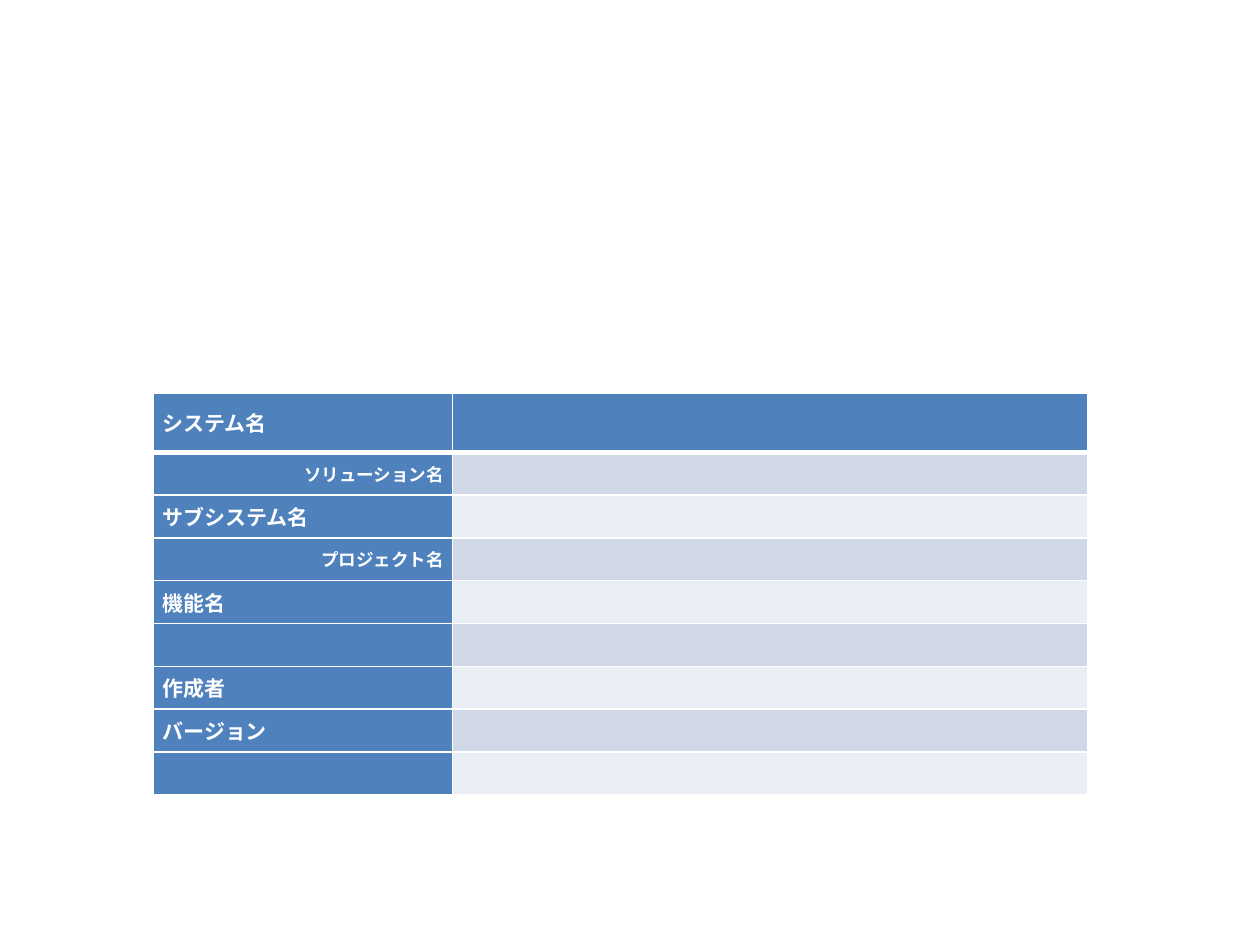
from dataclasses import dataclass

from lxml.etree import SubElement
from pptx import Presentation
from pptx.dml.color import RGBColor as RGB
from pptx.enum.text import MSO_ANCHOR as ANCHOR, PP_ALIGN as ALIGN
from pptx.oxml.ns import qn
from pptx.util import Inches, Pt


@dataclass(frozen=True)
class Theme:
    """Colours, font and type sizes of the slide."""
    label_fill: str = "4F81BD"
    bands: tuple = ("D0D8E8", "E9EDF4")
    white: str = "FFFFFF"
    font: str = "Calibri"
    main_size: int = 12
    sub_size: int = 10


class CoverSlide:
    """Holds the theme and the current slide."""

    def __init__(self, slide, theme):
        """Keep the slide and the theme."""
        self.slide, self.theme = slide, theme

    def border(self, cell, side, width):
        """Draw one white edge of a cell."""
        line = SubElement(cell._tc.get_or_add_tcPr(), qn(f"a:ln{side}"), w=str(Pt(width)))
        fill = SubElement(line, qn("a:solidFill"))
        SubElement(fill, qn("a:srgbClr"), val=self.theme.white)

    def cell(self, cell, color, top, bottom):
        """Format the margins, borders and fill of a cell."""
        layout = {"margin_left": Inches(0.07), "margin_right": Inches(0.07),
                  "margin_top": 0, "margin_bottom": 0,
                  "vertical_anchor": ANCHOR.MIDDLE}
        for name, value in layout.items():
            setattr(cell, name, value)
        for side, width in {"L": 1, "R": 1, "T": top, "B": bottom}.items():
            self.border(cell, side, width)
        cell.fill.solid()
        cell.fill.fore_color.rgb = RGB.from_string(color)

    def label(self, cell, text, is_sub):
        """Write a row label; sub-labels are smaller and right-aligned."""
        paragraph = cell.text_frame.paragraphs[0]
        paragraph.alignment = ALIGN.RIGHT if is_sub else ALIGN.LEFT
        run = paragraph.add_run()
        run.text = text
        size = self.theme.sub_size if is_sub else self.theme.main_size
        for name, value in {"name": self.theme.font, "size": Pt(size), "bold": True}.items():
            setattr(run.font, name, value)
        run.font.color.rgb = RGB.from_string(self.theme.white)

    def table(self, labels, left, top, widths, header_height, row_height):
        """Add the table of labels with an empty value column."""
        heights = [header_height] + [row_height] * (len(labels) - 1)
        table = self.slide.shapes.add_table(
            len(labels), len(widths), Inches(left), Inches(top),
            Inches(sum(widths)), Inches(sum(heights))).table
        table.first_row = table.horz_banding = False
        for column, width in zip(table.columns, widths):
            column.width = Inches(width)
        for index, (text, is_sub) in enumerate(labels):
            table.rows[index].height = Inches(heights[index])
            label, value = table.rows[index].cells
            top_line, bottom_line = 3 if index == 1 else 1, 3 if index == 0 else 1
            band = self.theme.bands[(index - 1) % 2] if index else self.theme.label_fill
            self.cell(label, self.theme.label_fill, top_line, bottom_line)
            self.cell(value, band, top_line, bottom_line)
            if text:
                self.label(label, text, is_sub)


LABELS = [
    ("システム名", False),
    ("ソリューション名", True),
    ("サブシステム名", False),
    ("プロジェクト名", True),
    ("機能名", False),
    ("", False),
    ("作成者", False),
    ("バージョン", False),
    ("", False),
]

deck = Presentation()
deck.slide_width, deck.slide_height = Inches(10), Inches(7.5)
cover = CoverSlide(deck.slides.add_slide(deck.slide_layouts[6]), Theme())
cover.table(LABELS, left=1.22, top=3.12, widths=(2.37, 5.04),
            header_height=0.47, row_height=0.34)
deck.save("out.pptx")
